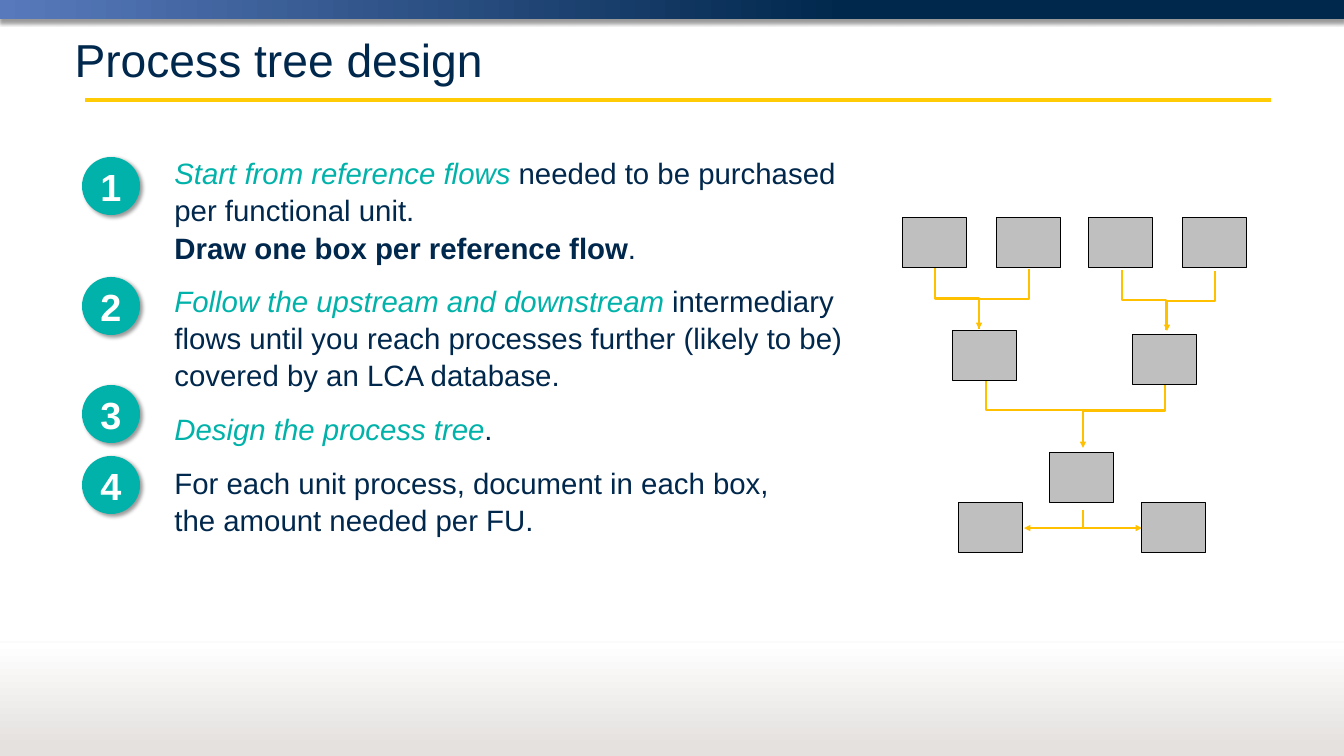
from lxml import etree
from pptx import Presentation
from pptx.dml.color import RGBColor
from pptx.enum.shapes import MSO_CONNECTOR, MSO_SHAPE
from pptx.enum.text import MSO_ANCHOR, PP_ALIGN
from pptx.oxml.ns import qn
from pptx.util import Pt

STRAIGHT, ELBOW = MSO_CONNECTOR.STRAIGHT, MSO_CONNECTOR.ELBOW
RECTANGLE, OVAL = MSO_SHAPE.RECTANGLE, MSO_SHAPE.OVAL
MIDDLE, TOP = MSO_ANCHOR.MIDDLE, MSO_ANCHOR.TOP
LEFT, CENTER = PP_ALIGN.LEFT, PP_ALIGN.CENTER

SCALE = 12095
NAVY, TEAL, YELLOW, AMBER = "00274C", "00B2A9", "FFCB05", "FFC000"
WHITE, BLACK, GREY, SAND = "FFFFFF", "000000", "BFBFBF", "E4E1DF"
BREAK = "\n"

STEPS = [
    [("Start from reference flows ", "lead"), ("needed to be purchased ", ""), (BREAK, ""),
     ("per functional unit. ", ""), (BREAK, ""),
     ("Draw one box per reference flow", "bold"), (".", "")],
    [("Follow the upstream and downstream ", "lead"),
     ("intermediary flows until you reach processes further (likely to be) "
      "covered by an LCA database.", "")],
    [("Design the process tree", "lead"), (".", "")],
    [("For each unit process, document in each box,", ""), (BREAK, ""),
     ("the amount needed per FU.", "")],
]
STEP_TOPS = [157, 277, 385, 456]
PROCESS_BOXES = [(903, 218), (997, 218), (1089, 218), (1183, 218),
                 (953, 331), (1133, 335), (1050, 453), (959, 503), (1142, 503)]
MERGES = [((986, 373), (1083, 448), True), ((1165, 383), (1083, 438), False),
          ((935, 268), (979, 329), False), ((1029, 269), (979, 329), True),
          ((1122, 270), (1166, 330), False), ((1215, 271), (1167, 331), True)]
SPLITS = [((1083, 510), (1024, 528)), ((1083, 510), (1142, 528))]


def px(*lengths):
    return [round(length * SCALE) for length in lengths]


def color(value):
    return RGBColor.from_string(value)


class Painter:
    """Holds the text style and draws elements on the current slide."""

    font = "Arial"

    def __init__(self, slide):
        self.slide = slide

    def style(self, span, size, tint, bold=False, italic=False):
        span.font.name, span.font.size = self.font, Pt(size)
        span.font.bold, span.font.italic = bold, italic
        span.font.color.rgb = color(tint)

    def shadow(self, effects, opacity, blur, distance, angle):
        outer = etree.SubElement(
            effects, qn("a:outerShdw"), blurRad=str(Pt(blur)), dist=str(Pt(distance)),
            dir=str(angle * 60000), algn="ctr", rotWithShape="0")
        tint = etree.SubElement(outer, qn("a:srgbClr"), val=BLACK)
        etree.SubElement(tint, qn("a:alpha"), val=str(opacity * 1000))

    def shape(self, kind, left, top, width, height, fill=None, line=None):
        box = self.slide.shapes.add_shape(kind, *px(left, top, width, height))
        box.shadow.inherit = False
        if fill:
            box.fill.solid()
            box.fill.fore_color.rgb = color(fill)
        if line:
            box.line.color.rgb = color(line)
            box.line.width = Pt(1)
        else:
            box.line.fill.background()
        return box

    def gradient(self, left, top, width, height, angle, stops):
        box = self.shape(RECTANGLE, left, top, width, height)
        box.fill.gradient()
        box.fill.gradient_angle = angle
        for stop, (position, tint) in zip(box.fill.gradient_stops, stops):
            stop.position = position
            stop.color.rgb = color(tint)
        return box

    def line(self, start, end, tint, width, kind=STRAIGHT):
        link = self.slide.shapes.add_connector(kind, *px(*start, *end))
        link.line.color.rgb = color(tint)
        link.line.width = Pt(width)
        properties = link._element.spPr
        etree.SubElement(properties, qn("a:effectLst"))
        return link, properties

    def elbow(self, start, end, arrow=True, preset="bentConnector3"):
        (x1, y1), (x2, y2) = start, end
        wide, tall = abs(x2 - x1), abs(y2 - y1)
        left, top = (x1 + x2 - tall) / 2, (y1 + y2 - wide) / 2
        link, properties = self.line((left, top), (left + tall, top + wide), AMBER, 2, ELBOW)
        frame = properties.find(qn("a:xfrm"))
        frame.set("rot", str((270 if x2 > x1 else 90) * 60000))
        if x2 > x1:
            frame.set("flipH", "1")
        properties.find(qn("a:prstGeom")).set("prst", preset)
        if arrow:
            etree.SubElement(properties.find(qn("a:ln")), qn("a:tailEnd"), type="triangle")

    def title(self, text, left, top, width, height):
        title = self.slide.shapes.title
        title.left, title.top, title.width, title.height = px(left, top, width, height)
        title.text_frame.text = text
        title.text_frame.vertical_anchor = MIDDLE
        para = title.text_frame.paragraphs[0]
        para.alignment = LEFT
        self.style(para.runs[0], 44, NAVY)

    def steps(self, steps, left, top, width, height):
        box = self.slide.shapes.add_textbox(*px(left, top, width, height))
        frame = box.text_frame
        frame.word_wrap, frame.vertical_anchor = True, TOP
        for index, spans in enumerate(steps):
            para = frame.add_paragraph() if index else frame.paragraphs[0]
            para.space_after, para.line_spacing = Pt(16), 1.05
            for text, role in spans:
                if text == BREAK:
                    para.add_line_break()
                    continue
                span = para.add_run()
                span.text = text
                lead = role == "lead"
                self.style(span, 28, TEAL if lead else NAVY, role == "bold", lead)

    def badge(self, text, left, top, size):
        badge = self.shape(OVAL, left, top, size, size, TEAL)
        self.shadow(badge._element.spPr.find(qn("a:effectLst")), 40, 4, 3, 45)
        frame = badge.text_frame
        frame.margin_left = frame.margin_right = frame.margin_top = frame.margin_bottom = 0
        frame.text, frame.vertical_anchor = text, MIDDLE
        para = frame.paragraphs[0]
        para.alignment = CENTER
        self.style(para.runs[0], 36, WHITE, bold=True)


def main():
    deck = Presentation()
    deck.slide_width, deck.slide_height = px(1344, 756)
    painter = Painter(deck.slides.add_slide(deck.slide_layouts[5]))

    banner = painter.gradient(0, 0, 1344, 19, 0, [(0, "587ABC"), (0.63, NAVY)])
    painter.shadow(banner._element.spPr.find(qn("a:effectLst")), 40, 4, 3, 90)
    painter.line((85, 100), (1271, 100), YELLOW, 3)
    painter.gradient(0, 643, 1344, 113, 90, [(0.08, SAND), (1, WHITE)])
    _, footer = painter.line((0, 642), (1344, 642), SAND, 0.75)
    tint = footer.find(qn("a:ln")).find(".//" + qn("a:srgbClr"))
    etree.SubElement(tint, qn("a:alpha"), val="30000")
    painter.shadow(footer.find(qn("a:effectLst")), 38, 3.1, 1.6, 90)

    painter.title("Process tree design", 67, 23, 1277, 72)
    painter.steps(STEPS, 167, 150, 745, 380)
    for start, end, arrow in MERGES:
        painter.elbow(start, end, arrow)
    for start, end in SPLITS:
        painter.elbow(start, end, preset="bentConnector2")
    for left, top in PROCESS_BOXES:
        painter.shape(RECTANGLE, left, top, 64, 50, GREY, BLACK)
    for number, top in enumerate(STEP_TOPS, 1):
        painter.badge(str(number), 82, top, 58)

    deck.save("out.pptx")


if __name__ == "__main__":
    main()
